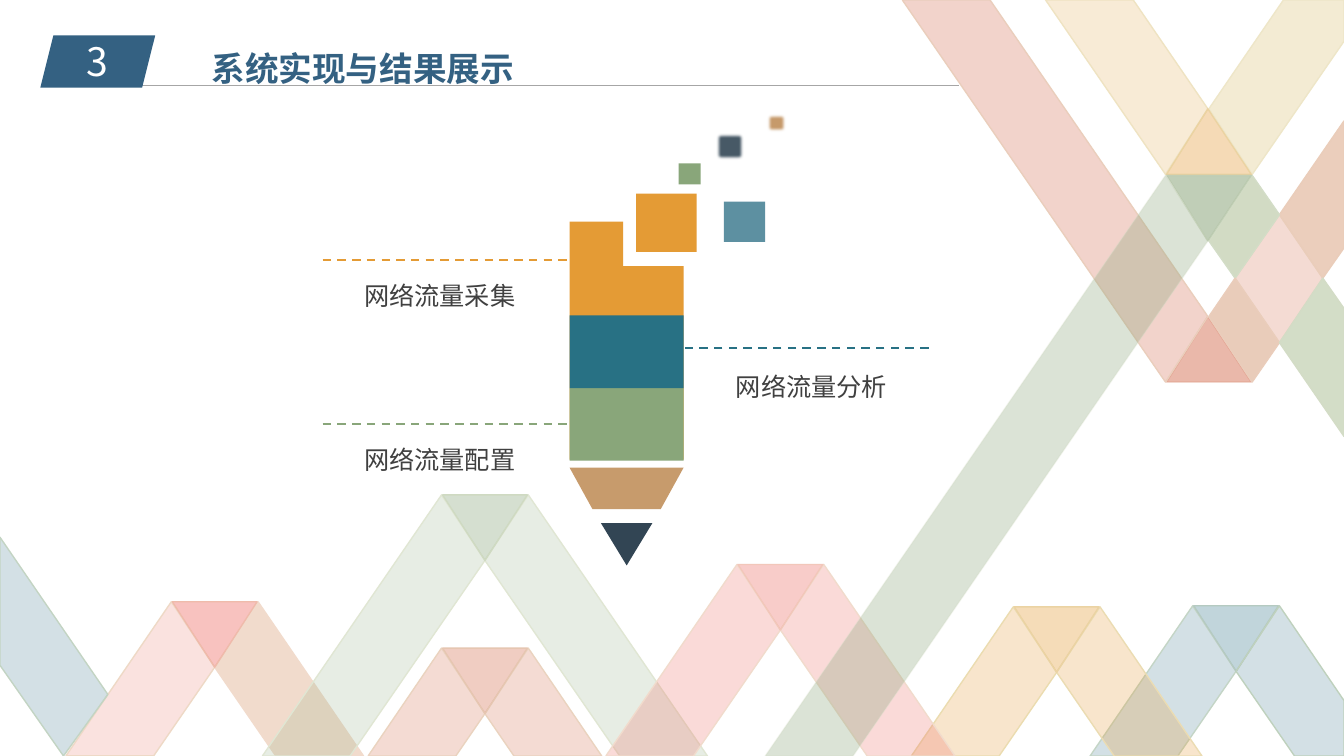
from pptx import Presentation
from pptx.dml.color import RGBColor
from pptx.enum.dml import MSO_LINE
from pptx.enum.shapes import MSO_CONNECTOR, MSO_SHAPE
from pptx.enum.text import MSO_AUTO_SIZE, PP_ALIGN
from pptx.oxml.ns import qn
from pptx.util import Inches, Pt
from lxml import etree

RECTANGLE, TRIANGLE = MSO_SHAPE.RECTANGLE, MSO_SHAPE.ISOSCELES_TRIANGLE
PARALLELOGRAM = MSO_SHAPE.PARALLELOGRAM
TAPER = MSO_SHAPE.FLOWCHART_MANUAL_OPERATION
STRAIGHT, DASH = MSO_CONNECTOR.STRAIGHT, MSO_LINE.DASH
LEFT, CENTER, RIGHT = PP_ALIGN.LEFT, PP_ALIGN.CENTER, PP_ALIGN.RIGHT
GROW = MSO_AUTO_SIZE.SHAPE_TO_FIT_TEXT

THEME = {
    "font": "Noto Sans CJK SC",
    "title_size": 24, "number_size": 28, "label_size": 18,
    "navy": "346182", "white": "FFFFFF", "text": "404040", "rule": "A6A6A6",
    "orange": "E49B35", "teal": "287184", "green": "89A67A",
    "wood": "C79B6C", "lead": "324554", "blue": "508799",
    "rust": "D57053", "coral": "ED6F65", "salmon": "EE8F82", "red": "ED5249",
    "sage": "A2B894", "moss": "88A378", "sand": "E7B05E", "cream": "EFE3C2",
    "blush": "F1DBCC", "peach": "EBCEBC", "clay": "E9CCBA",
    "mint": "D2DBC4", "pale_mint": "D3DDC7",
}
WIDTH, HEIGHT = 13.33, 7.5

deck = Presentation()
deck.slide_width, deck.slide_height = Inches(WIDTH), Inches(HEIGHT)
page = deck.slides.add_slide(deck.slide_layouts[6])


def paint(shape, color, opacity=100, edge=None, edge_opacity=100):
    """Give a shape its fill and optional 1 pt outline, opacities in percent."""
    shape.shadow.inherit = False
    shape.fill.solid()
    shape.fill.fore_color.rgb = RGBColor.from_string(THEME[color])
    layers = [(shape.element.spPr, opacity)]
    if edge:
        shape.line.color.rgb = RGBColor.from_string(edge)
        shape.line.width = Pt(1)
        layers.append((shape.element.spPr.find(qn("a:ln")), edge_opacity))
    else:
        shape.line.fill.background()
    for parent, percent in layers:
        if percent < 100:
            tone = parent.find(qn("a:solidFill"))[0]
            etree.SubElement(tone, qn("a:alpha"), val=str(percent * 1000))


def draw_polygon(points, *style):
    builder = page.shapes.build_freeform(
        Inches(points[0][0]), Inches(points[0][1]), scale=1.0)
    builder.add_line_segments([(Inches(x), Inches(y)) for x, y in points[1:]])
    paint(builder.convert_to_shape(), *style)


# Zigzag peaks along the bottom: centre, top, left leg, right leg, cap
CAP_HALF, CAP_HEIGHT, BAND, RUN = 0.42, 0.65, 0.87, 0.69
peaks = [
    (2.13, 5.97, ("salmon", 25, "EED9C6"), ("blush", 100, "F1DBCC"), ("red", 35, "EFBBAB")),
    (4.81, 4.91, ("sage", 25, "E0E6D3"), ("sage", 25, "E0E6D3"), ("green", 35, "CFDAC2")),
    (4.81, 6.43, ("rust", 25, "EAD3BF"), ("rust", 25, "EAD3BF"), ("rust", 35, "E6C6B1")),
    (12.26, 6.01, ("blue", 25, "C4D5C6"), None, ("blue", 35, "B5CAC1")),
    (10.48, 6.02, ("orange", 25, "EBDCB0"), ("orange", 25, "EBDCB2"), ("orange", 35, "EBD3A3")),
    (7.74, 5.6, ("coral", 25, "F1DBCC"), ("coral", 25, "F1DBCC"), ("coral", 35, "F2C7BA")),
]
for center, top, left_leg, right_leg, cap in peaks:
    foot = CAP_HALF + (HEIGHT - top) * RUN
    for side, style in ((-1, left_leg), (1, right_leg)):
        if style:
            leg = [(CAP_HALF + 0.01, top), (foot, HEIGHT), (foot - BAND, HEIGHT),
                   (0, top + CAP_HEIGHT)]
            draw_polygon([(center + side * x, y) for x, y in leg], *style)
    draw_polygon([(center - CAP_HALF, top), (center + CAP_HALF, top),
                  (center, top + CAP_HEIGHT)], *cap)

# Bands cut by the slide's edges and the lattice at the top right
bands = [
    ([(12.69, 6.01), (WIDTH, 6.95), (WIDTH, HEIGHT), (12.84, HEIGHT), (12.26, 6.66)],
     "blue", 25, "BFD1BD"),
    ([(0, 5.33), (1.07, 6.89), (0.63, HEIGHT), (0, 6.6)], "blue", 25, "C3D4C3"),
    ([(11.98, 3.14), (12.41, 3.79), (11.57, 3.79)], "rust", 49, "DF9B83", 49),
    ([(10.37, 0), (11.24, 0), (11.98, 1.08), (11.56, 1.73)], "sand", 25, "EFE3C2"),
    ([(12.73, 0), (WIDTH, 0), (WIDTH, 0.41), (12.42, 1.73), (11.99, 1.08)],
     "cream", 71, "EEE6C8"),
    ([(12.69, 2.13), (13.12, 2.76), (12.69, 3.4), (12.25, 2.76)], "rust", 25, "EAD3BE"),
    ([(WIDTH, 1.2), (WIDTH, 2.46), (13.12, 2.76), (12.69, 2.13)], "peach", 100, "EACDBA"),
    ([(12.42, 1.74), (12.69, 2.13), (12.25, 2.76), (11.99, 2.39)], "mint", 100, "D3DDC7"),
    ([(12.25, 2.76), (12.69, 3.4), (12.42, 3.79), (11.99, 3.14)], "clay", 100, "EACDBB"),
    ([(13.12, 2.76), (WIDTH, 3.06), (WIDTH, 4.33), (12.69, 3.4)],
     "pale_mint", 100, "D3DCC6"),
    ([(11.98, 1.08), (12.41, 1.73), (11.57, 1.73)], "orange", 36, "EBD3A2"),
    ([(11.57, 1.74), (12.41, 1.74), (11.98, 2.39)], "moss", 53, "B3C4A5", 53),
    ([(8.95, 0), (9.82, 0), (11.98, 3.14), (11.56, 3.79)], "rust", 30, "EACEBC"),
    ([(11.56, 1.74), (11.98, 2.39), (8.46, HEIGHT), (7.59, HEIGHT)],
     "moss", 30, "D3DCC5", 30),
]
for points, *style in bands:
    draw_polygon(points, *style)

# Title rule and dashed leaders: start x, end x, y, colour, points, dash
BODY, BODY_WIDTH, SEGMENT, TEAL_TOP = 5.65, 1.13, 0.72, 3.13
BODY_END, GREEN_TOP = BODY + BODY_WIDTH, TEAL_TOP + SEGMENT
leaders = [
    (0.87, 9.51, 0.85, "rule", 0.5, None),
    (3.2, BODY, 2.58, "orange", 1.5, DASH),
    (9.21, BODY_END, 3.45, "teal", 1.5, DASH),
    (3.2, BODY, GREEN_TOP + SEGMENT / 2, "green", 1.5, DASH),
]
for start, end, y, color, points, dash in leaders:
    leader = page.shapes.add_connector(
        STRAIGHT, Inches(start), Inches(y), Inches(end), Inches(y))
    leader.line.color.rgb = RGBColor.from_string(THEME[color])
    leader.line.width = Pt(points)
    if dash:
        leader.line.dash_style = dash
    etree.SubElement(leader.element.spPr, qn("a:effectLst"))
green_leader = leader

# Pencil, its loose squares and the number tag
SOFT_RADIUS = Pt(2.5)
draw_polygon([(BODY, 2.2), (6.18, 2.2), (6.18, 2.64), (BODY_END, 2.64),
              (BODY_END, 4.56), (BODY, 4.56)], "orange")
parts = [
    ("tag", PARALLELOGRAM, 0.4, 0.35, 1.14, 0.52, "navy", 100),
    ("tip", TRIANGLE, 5.96, 5.19, 0.51, 0.42, "lead", 100),
    ("taper", TAPER, BODY, 4.64, BODY_WIDTH, 0.41, "wood", 100),
    ("orange square", RECTANGLE, 6.31, 1.92, 0.6, 0.58, "orange", 100),
    ("green square", RECTANGLE, 6.73, 1.62, 0.22, 0.21, "green", 100),
    ("wood square", RECTANGLE, 7.59, 1.12, 0.22, 0.21, "wood", 100),
    ("dark square", RECTANGLE, 7.09, 1.31, 0.3, 0.29, "lead", 89),
    ("blue square", RECTANGLE, 7.18, 2, 0.41, 0.4, "blue", 92),
    ("green body", RECTANGLE, BODY, GREEN_TOP, BODY_WIDTH, SEGMENT, "green", 100),
    ("teal body", RECTANGLE, BODY, TEAL_TOP, BODY_WIDTH, SEGMENT, "teal", 100),
]
shapes = {}
for name, kind, left, top, width, height, color, opacity in parts:
    shapes[name] = page.shapes.add_shape(
        kind, Inches(left), Inches(top), Inches(width), Inches(height))
    paint(shapes[name], color, opacity)
shapes["tip"].rotation = 180
green_leader.end_connect(shapes["green body"], 1)
for name in ("wood square", "dark square"):
    effects = shapes[name].element.spPr.find(qn("a:effectLst"))
    etree.SubElement(effects, qn("a:softEdge"), rad=str(SOFT_RADIUS))

# Texts: wording, left, top, width, height, wrap, alignment, spacing, size, colour, bold
texts = [
    ("系统实现与结果展示", 2, 0.23, 3.23, 0.71, False, LEFT, 1.5, "title_size", "navy", True),
    ("3", 0.41, 0.32, 1.12, 0.57, True, CENTER, 1.0, "number_size", "white", False),
]
for wording, left, top, align in (("网络流量采集", 1.18, 2.64, RIGHT),
                                  ("网络流量配置", 1.18, 4.27, RIGHT),
                                  ("网络流量分析", 7.2, 3.54, LEFT)):
    texts.append((wording, left, top, 4.03, 0.46, True, align, 1.3, "label_size", "text", False))
for wording, left, top, width, height, wrap, align, spacing, size, color, bold in texts:
    box = page.shapes.add_textbox(Inches(left), Inches(top), Inches(width), Inches(height))
    box.text_frame.word_wrap = wrap
    box.text_frame.auto_size = GROW
    para = box.text_frame.paragraphs[0]
    para.text = wording
    para.alignment, para.line_spacing = align, spacing
    para.font.name, para.font.size, para.font.bold = THEME["font"], Pt(THEME[size]), bold
    para.font.color.rgb = RGBColor.from_string(THEME[color])
    latin = para.font._element.find(qn("a:latin"))
    latin.addnext(latin.makeelement(qn("a:ea"), {"typeface": THEME["font"]}))

deck.save("out.pptx")
